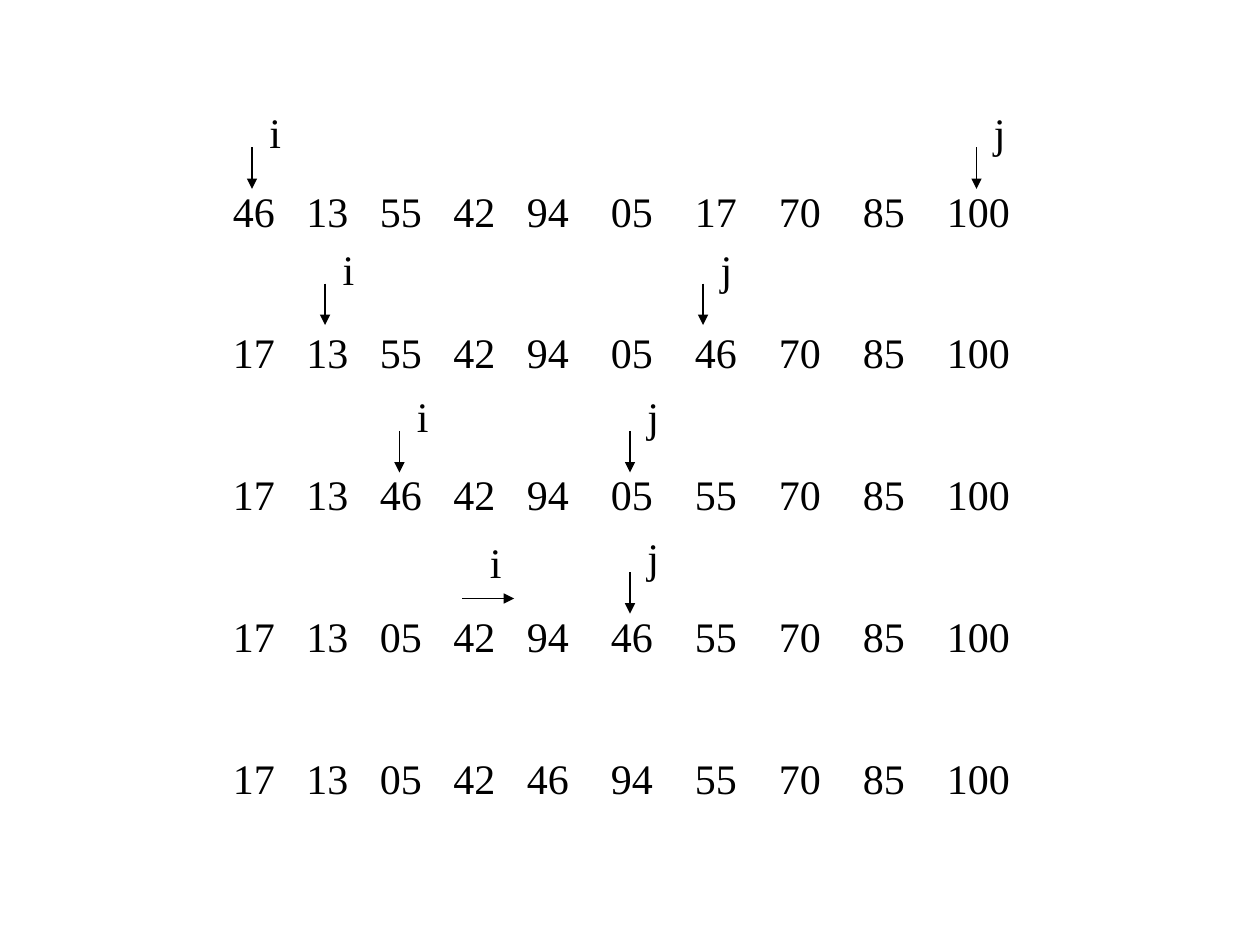
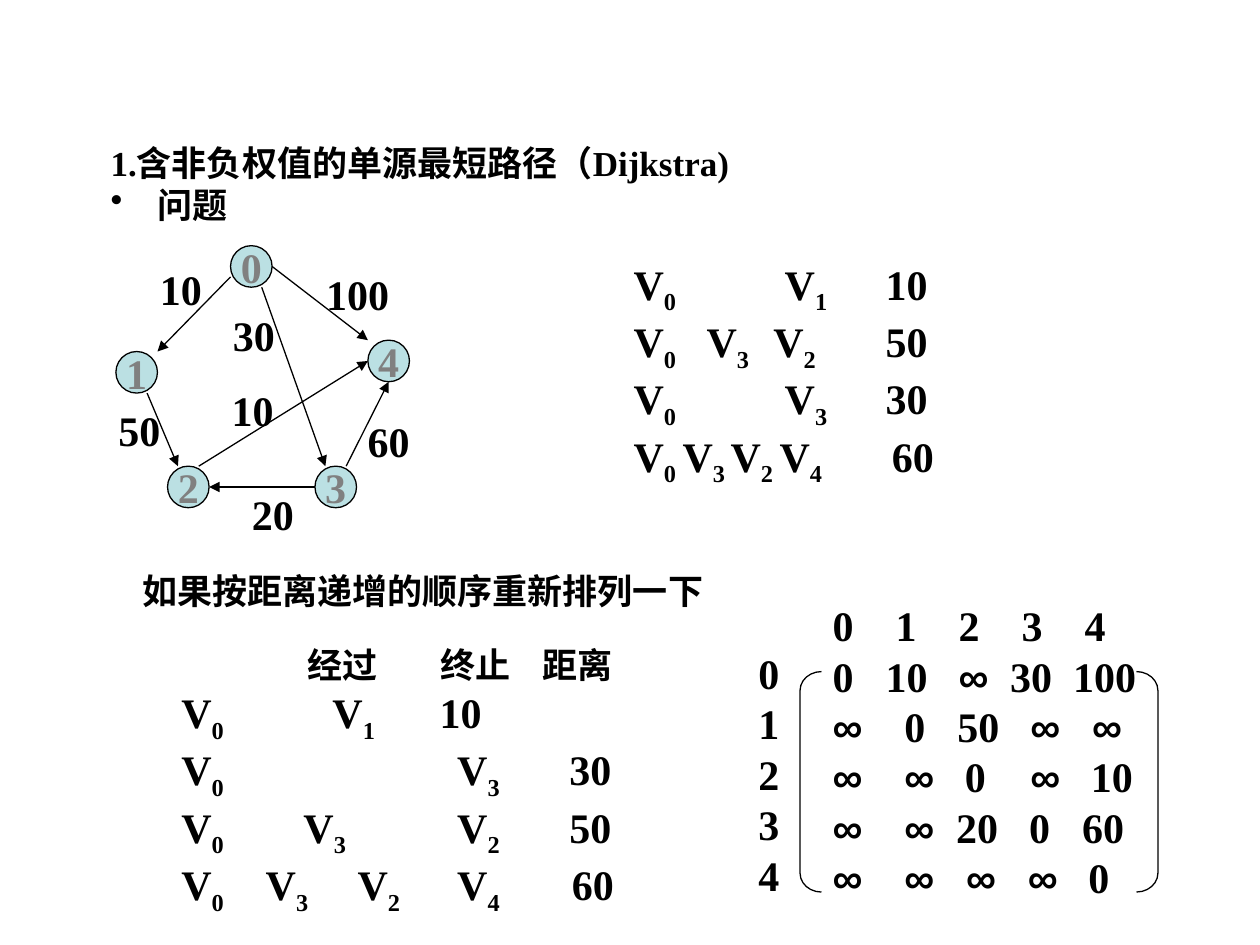
from dataclasses import dataclass

from lxml import etree
from pptx import Presentation
from pptx.dml.color import RGBColor
from pptx.enum.shapes import MSO_CONNECTOR, MSO_SHAPE
from pptx.enum.text import MSO_ANCHOR, PP_ALIGN
from pptx.oxml.ns import qn
from pptx.util import Inches, Pt

STRAIGHT = MSO_CONNECTOR.STRAIGHT
OVAL = MSO_SHAPE.OVAL
LEFT_BRACKET = MSO_SHAPE.LEFT_BRACKET
RIGHT_BRACKET = MSO_SHAPE.RIGHT_BRACKET
MIDDLE = MSO_ANCHOR.MIDDLE
CENTER = PP_ALIGN.CENTER


@dataclass(frozen=True)
class Theme:
    """Colours, fonts and sizes shared by the slides."""

    ink: RGBColor = RGBColor(0, 0, 0)
    node_fill: RGBColor = RGBColor(0xBB, 0xE0, 0xE3)
    node_ink: RGBColor = RGBColor(0x80, 0x80, 0x80)
    font: str = "Times New Roman"
    symbol_font: str = "Arial"
    body: int = 24
    heading: int = 20
    line: float = 0.75
    subscript: str = "-25000"


THEME = Theme()
DIGIT_WIDTH = 1 / 6
SIDE_INSETS = 0.2

SORT_OFFSETS = [i * 7 / 12 for i in range(5)] + [3 + i * 2 / 3 for i in range(5)]
SORT_STEPS = [
    "46 13 55 42 94 05 17 70 85 100",
    "17 13 55 42 94 05 46 70 85 100",
    "17 13 46 42 94 05 55 70 85 100",
    "17 13 05 42 94 46 55 70 85 100",
    "17 13 05 42 46 94 55 70 85 100",
]
POINTERS = [
    ("i", 2, 1.17), ("j", 7.75, 1.17),
    ("i", 2.58, 2.25), ("j", 5.58, 2.25),
    ("i", 3.17, 3.42), ("j", 5, 3.42),
    ("j", 5, 4.54),
]

NODE_SIZE = 0.33
NODES = {"0": (0.91, 0), "4": (2, 0.75), "1": (0, 0.84),
         "2": (0.41, 1.75), "3": (1.58, 1.75)}
EDGES = [
    ("0", (0, 0.75), "1", (1, 0), "10", (0.25, 0.09)),
    ("0", (1, 0.5), "4", (0, 0), "100", (1.57, 0.13)),
    ("1", (0.75, 1), "2", (0.25, 0), "50", (-0.08, 1.21)),
    ("3", (0, 0.5), "2", (1, 0.5), "20", (0.98, 1.88)),
    ("3", (0.75, 0), "4", (0.5, 1), "60", (1.9, 1.3)),
    ("2", (0.75, 0), "4", (0, 0.5), "10", (0.82, 1.05)),
    ("0", (0.75, 1), "3", (0.25, 0), "30", (0.83, 0.46)),
]
PATHS = [
    ("V0 V1 10", [0, 1.2, 2]),
    ("V0 V3 V2 50", [0, 0.58, 1.11, 2]),
    ("V0 V3 30", [0, 1.2, 2]),
    ("V0 V3 V2 V4 60", [0, 0.39, 0.77, 1.16, 2.05]),
]
SORTED_PATHS = [
    ("经过 终止 距离", [1, 2.06, 2.87]),
    ("V0 V1 10", [0, 1.2, 2.05]),
    ("V0 V3 30", [0, 2.19, 3.08]),
    ("V0 V3 V2 50", [0, 0.97, 2.19, 3.08]),
    ("V0 V3 V2 V4 60", [0, 0.67, 1.4, 2.19, 3.1]),
]
MATRIX = [
    ("0 1 2 3 4", [0, 0.5, 1, 1.5, 2]),
    ("0 10 ∞ 30 100", [0, 0.42, 1, 1.41, 1.91]),
    ("∞ 0 50 ∞ ∞", [0, 0.57, 0.99, 1.57, 2.06]),
    ("∞ ∞ 0 ∞ 10", [0, 0.57, 1.05, 1.57, 2.05]),
    ("∞ ∞ 20 0 60", [0, 0.57, 0.98, 1.56, 1.98]),
    ("∞ ∞ ∞ ∞ 0", [0, 0.57, 1.06, 1.55, 2.03]),
]


def add_run(paragraph, text, bold, size=THEME.body, color=THEME.ink):
    """Append one styled run and return it."""
    run = paragraph.add_run()
    run.text = text
    run.font.name = THEME.symbol_font if text == "∞" else THEME.font
    run.font.size = Pt(size)
    run.font.bold = bold
    run.font.color.rgb = color
    return run


def add_frame(slide, left, top, width, height, wrap=False):
    """Add a text box and return its text frame."""
    box = slide.shapes.add_textbox(*map(Inches, (left, top, width, height)))
    box.text_frame.word_wrap = wrap
    return box.text_frame


def add_paragraph(frame, index):
    """Return the first paragraph of a frame, or a new one after it."""
    return frame.add_paragraph() if index else frame.paragraphs[0]


def add_label(slide, text, left, top, bold=True, width=None, size=THEME.body):
    """Add a one-line label as wide as its digits unless a width is given."""
    width = width or SIDE_INSETS + len(text) * DIGIT_WIDTH
    frame = add_frame(slide, left, top, width, size / 60 + 0.1)
    add_run(frame.paragraphs[0], text, bold, size)


def add_aligned_rows(slide, rows, left, top, width, height, bold=True):
    """Set rows of words, each word at a tab stop; V takes a subscript."""
    frame = add_frame(slide, left, top, width, height, True)
    for index, (words, offsets) in enumerate(rows):
        paragraph = add_paragraph(frame, index)
        tabs = etree.SubElement(paragraph._p.get_or_add_pPr(), qn("a:tabLst"))
        for word, offset in zip(words.split(), offsets):
            if offset:
                etree.SubElement(tabs, qn("a:tab"), pos=str(Inches(offset)), algn="l")
                add_run(paragraph, "\t", bold)
            if word.startswith("V"):
                add_run(paragraph, "V", bold)
                subscript = add_run(paragraph, word[1:], bold)
                subscript.font._element.set("baseline", THEME.subscript)
            else:
                size = THEME.body if word.isascii() or word == "∞" else THEME.heading
                add_run(paragraph, word, bold, size)


def add_arrow(slide, start, end):
    """Draw a thin line with a triangle at its end."""
    arrow = slide.shapes.add_connector(STRAIGHT, *map(Inches, (*start, *end)))
    arrow.line.color.rgb = THEME.ink
    arrow.line.width = Pt(THEME.line)
    etree.SubElement(arrow.line._get_or_add_ln(), qn("a:tailEnd"), type="triangle")
    etree.SubElement(arrow._element.spPr, qn("a:effectLst"))


def add_outlined(slide, preset, left, top, width, height):
    """Add an unfilled preset shape with a thin outline."""
    shape = slide.shapes.add_shape(preset, *map(Inches, (left, top, width, height)))
    shape.shadow.inherit = False
    shape.fill.background()
    shape.line.color.rgb = THEME.ink
    shape.line.width = Pt(THEME.line)
    return shape


def add_pointer(slide, name, x, top):
    """Draw a downward index pointer with its name beside it."""
    add_label(slide, name, x + 0.04, top - 0.37, False, 0.29)
    add_arrow(slide, (x, top), (x, top + 0.33))


def add_node(slide, name, left, top):
    """Draw a numbered graph node."""
    node = add_outlined(slide, OVAL, left, top, NODE_SIZE, NODE_SIZE)
    node.fill.solid()
    node.fill.fore_color.rgb = THEME.node_fill
    frame = node.text_frame
    frame.word_wrap = False
    frame.vertical_anchor = MIDDLE
    frame.paragraphs[0].alignment = CENTER
    add_run(frame.paragraphs[0], name, True, color=THEME.node_ink)


def add_graph(slide, left, top):
    """Draw the weighted directed graph."""

    def anchor(name, fraction):
        """Return the point at a fraction of a node's box."""
        x, y = NODES[name]
        return left + x + fraction[0] * NODE_SIZE, top + y + fraction[1] * NODE_SIZE

    for name, (x, y) in NODES.items():
        add_node(slide, name, left + x, top + y)
    for source, leaving, target, entering, weight, (x, y) in EDGES:
        add_arrow(slide, anchor(source, leaving), anchor(target, entering))
        add_label(slide, weight, left + x, top + y)


def add_heading(slide, left, top, width, height):
    """Write the section title and its bulleted subtopic."""
    frame = add_frame(slide, left, top, width, height)
    for index, text in enumerate(["1.含非负权值的单源最短路径（Dijkstra)", "问题"]):
        paragraph = add_paragraph(frame, index)
        if index:
            properties = paragraph._p.get_or_add_pPr()
            properties.set("marL", str(Inches(0.37)))
            properties.set("indent", str(-Inches(0.37)))
            etree.SubElement(properties, qn("a:buChar"), char="•")
        add_run(paragraph, text, True, THEME.heading)


def add_matrix(slide, left, top):
    """Write the adjacency matrix with row numbers and brackets."""
    add_aligned_rows(slide, MATRIX, left + 0.59, top + 0.02, 2.7, 2.5)
    row_numbers = [(str(number), [0]) for number in range(5)]
    add_aligned_rows(slide, row_numbers, left, top + 0.4, 0.4, 2.1)
    for preset, offset in ((LEFT_BRACKET, 0.43), (RIGHT_BRACKET, 3.1)):
        bracket = add_outlined(slide, preset, left + offset, top + 0.64, 0.17, 1.75)
        bracket.adjustments[0] = 0.88


def build_sort_slide(slide):
    """Show the partition steps with the i and j pointers."""
    for index, step in enumerate(SORT_STEPS):
        top = 1.42 + index * 1.125
        add_aligned_rows(slide, [(step, SORT_OFFSETS)], 1.75, top, 6.4, 0.5, False)
    for name, x, top in POINTERS:
        add_pointer(slide, name, x, top)
    add_label(slide, "i", 3.79, 4.21, False, 0.29)
    add_arrow(slide, (3.67, 4.75), (4.08, 4.75))


def build_path_slide(slide):
    """Show the shortest path problem, its graph, paths and matrix."""
    add_heading(slide, 0.78, 1.07, 5.24, 0.77)
    add_graph(slide, 0.92, 1.95)
    add_aligned_rows(slide, PATHS, 4.93, 2, 2.7, 1.92)
    add_label(slide, "如果按距离递增的顺序重新排列一下", 1.03, 4.47,
              width=4.65, size=THEME.heading)
    add_aligned_rows(slide, SORTED_PATHS, 1.34, 5, 3.75, 2.32)
    add_matrix(slide, 5.92, 4.69)


def main():
    """Build and save the presentation."""
    deck = Presentation()
    deck.slide_width, deck.slide_height = Inches(10), Inches(7.5)
    for build in (build_sort_slide, build_path_slide):
        build(deck.slides.add_slide(deck.slide_layouts[6]))
    deck.save("out.pptx")


if __name__ == "__main__":
    main()
